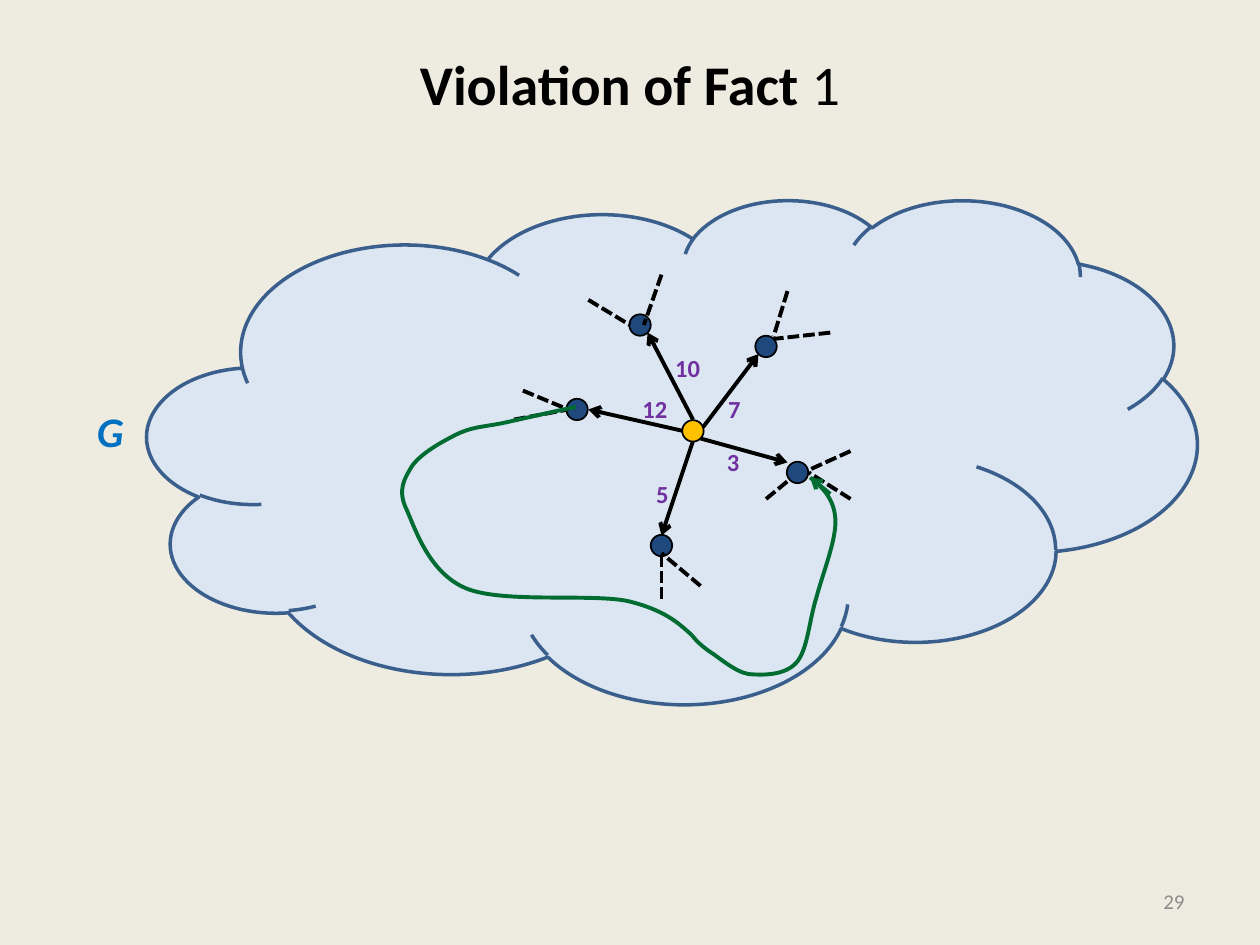
from lxml import etree
from pptx import Presentation
from pptx.dml.color import RGBColor
from pptx.enum.dml import MSO_LINE
from pptx.enum.shapes import MSO_CONNECTOR, MSO_SHAPE
from pptx.enum.text import MSO_ANCHOR, PP_ALIGN
from pptx.oxml.ns import qn
from pptx.util import Inches, Pt

STRAIGHT = MSO_CONNECTOR.STRAIGHT
CLOUD, OVAL = MSO_SHAPE.CLOUD, MSO_SHAPE.OVAL
DASH = MSO_LINE.SQUARE_DOT
MIDDLE = MSO_ANCHOR.MIDDLE
LEFT, CENTER, RIGHT = PP_ALIGN.LEFT, PP_ALIGN.CENTER, PP_ALIGN.RIGHT

FONT = "Calibri"
BLACK = RGBColor(0x00, 0x00, 0x00)
GRAY = RGBColor(0x8C, 0x8C, 0x8C)
CREAM = RGBColor(0xEE, 0xEC, 0xE1)
PALE_BLUE = RGBColor(0xDC, 0xE6, 0xF2)
CLOUD_EDGE = RGBColor(0x3A, 0x5F, 0x8C)
NAVY = RGBColor(0x1F, 0x49, 0x7D)
GOLD = RGBColor(0xFF, 0xC0, 0x00)
PURPLE = RGBColor(0x70, 0x30, 0xA0)
BLUE = RGBColor(0x00, 0x70, 0xC0)
GREEN = RGBColor(0x00, 0x6C, 0x31)

# Content: all lengths in inches
TITLE = [("Violation of Fact ", True), ("1", False)]
PAGE = "29"
GRAPH_NAME = "G"
NODE_SIZE = 0.17
EDGE_WIDTH = 2.25
HUB = (5.5, 3.42)

# Each neighbour: weight, label corner, label width, centre, edge (from, to), stubs (tip, root)
NEIGHBOURS = [
    ("7", (5.68, 3.08), 0.3, (6.08, 2.75), ((5.58, 3.39), (6.02, 2.81)),
     [((6.59, 2.64), (6.14, 2.69)), ((6.25, 2.31), (6.14, 2.67))]),
    ("3", (5.67, 3.5), 0.3, (6.33, 3.75), ((5.56, 3.48), (6.25, 3.67)),
     [((6.75, 3.96), (6.42, 3.75)), ((6.75, 3.58), (6.42, 3.73)),
      ((6.08, 3.96), (6.25, 3.82))]),
    ("5", (5.11, 3.75), 0.3, (5.25, 4.33), ((5.5, 3.5), (5.25, 4.25)),
     [((5.25, 4.75), (5.25, 4.42)), ((5.56, 4.65), (5.25, 4.39))]),
    ("12", (5, 3.08), 0.4, (4.58, 3.25), ((5.42, 3.42), (4.67, 3.25)),
     [((4.08, 3.33), (4.51, 3.25)), ((4.15, 3.1), (4.51, 3.25))]),
    ("10", (5.26, 2.75), 0.4, (5.08, 2.58), ((5.5, 3.33), (5.14, 2.64)),
     [((4.67, 2.38), (5, 2.58)), ((5.25, 2.18), (5.11, 2.58))]),
]

# Detour: a start point, then two control points and an end point per curve
DETOUR = [
    [(4.57, 3.23),
     (4.37, 3.27), (4.17, 3.32), (3.98, 3.36),
     (3.82, 3.39), (3.74, 3.39), (3.62, 3.45),
     (3.5, 3.51), (3.34, 3.6), (3.27, 3.7),
     (3.21, 3.8), (3.15, 3.89), (3.23, 4.05),
     (3.3, 4.21), (3.41, 4.55), (3.7, 4.67),
     (3.99, 4.79), (4.68, 4.71), (4.98, 4.77),
     (5.27, 4.84), (5.38, 4.94), (5.49, 5.04)],
    [(5.49, 5.04),
     (5.52, 5.08), (5.56, 5.12), (5.63, 5.17),
     (5.71, 5.22), (5.83, 5.33), (5.94, 5.35),
     (6.06, 5.36), (6.23, 5.36), (6.32, 5.26),
     (6.41, 5.16), (6.42, 4.93), (6.48, 4.74),
     (6.53, 4.55), (6.64, 4.28), (6.63, 4.12),
     (6.62, 3.96), (6.53, 3.87), (6.43, 3.79)],
]
DETOUR_HEAD = ((6.59, 3.92), (6.43, 3.79))


def add_run(paragraph, text, size, color, bold=False, italic=False):
    run = paragraph.add_run()
    run.text = text
    font = run.font
    font.name, font.size, font.bold, font.italic = FONT, Pt(size), bold, italic
    font.color.rgb = color


def add_label(slide, text, box, size, color, align=LEFT, **style):
    frame = slide.shapes.add_textbox(*map(Inches, box)).text_frame
    frame.word_wrap = align == RIGHT
    paragraph = frame.paragraphs[0]
    paragraph.alignment = align
    add_run(paragraph, text, size, color, **style)
    return frame


def add_line(slide, start, end, color=BLACK, arrow=False, dashed=False):
    line = slide.shapes.add_connector(STRAIGHT, *map(Inches, start + end))
    line.line.color.rgb = color
    line.line.width = Pt(EDGE_WIDTH)
    if dashed:
        line.line.dash_style = DASH
    if arrow:
        outline = line._element.spPr.find(qn("a:ln"))
        etree.SubElement(outline, qn("a:tailEnd"), type="arrow")
    etree.SubElement(line._element.spPr, qn("a:effectLst"))


def add_filled(slide, kind, box, fill, edge, width):
    shape = slide.shapes.add_shape(kind, *map(Inches, box))
    shape.shadow.inherit = False
    shape.fill.solid()
    shape.fill.fore_color.rgb = fill
    shape.line.color.rgb = edge
    shape.line.width = Pt(width)


def add_node(slide, center, fill):
    x, y = center
    box = (x - NODE_SIZE / 2, y - NODE_SIZE / 2, NODE_SIZE, NODE_SIZE)
    add_filled(slide, OVAL, box, fill, BLACK, 1)


def add_curve(slide, points, color):
    start, *rest = [(Inches(x), Inches(y)) for x, y in points]
    builder = slide.shapes.build_freeform(*start)
    builder.add_line_segments(rest, close=False)
    curve = builder.convert_to_shape()
    curve.shadow.inherit = False
    curve.fill.background()
    curve.line.color.rgb = color
    curve.line.width = Pt(EDGE_WIDTH)
    # Join every three segments into one Bezier curve
    outline = next(curve._element.iter(qn("a:path")))
    segments = outline.findall(qn("a:lnTo"))
    for i in range(0, len(segments), 3):
        bezier = etree.SubElement(outline, qn("a:cubicBezTo"))
        for segment in segments[i:i + 3]:
            bezier.append(segment[0])
            outline.remove(segment)


def main():
    deck = Presentation()
    deck.slide_width, deck.slide_height = Inches(10), Inches(7.5)
    slide = deck.slides.add_slide(deck.slide_layouts[5])
    slide.background.fill.solid()
    slide.background.fill.fore_color.rgb = CREAM

    # Title, raised within its box by the bottom margin
    title = slide.shapes.title
    title.left, title.top, title.width, title.height = map(Inches, (0.5, 0.3, 9, 1.25))
    title.text_frame.vertical_anchor = MIDDLE
    title.text_frame.margin_bottom = Inches(0.58)
    heading = title.text_frame.paragraphs[0]
    heading.alignment = CENTER
    for text, bold in TITLE:
        add_run(heading, text, 32, BLACK, bold)

    # Page number
    page = add_label(slide, PAGE, (7.17, 6.95, 2.33, 0.4), 12, GRAY, RIGHT)
    page.vertical_anchor = MIDDLE

    # Graph: cloud, edges, nodes, stubs and weights
    add_filled(slide, CLOUD, (1.17, 1.58, 8.33, 4), PALE_BLUE, CLOUD_EDGE, 2)
    for *_, edge, _ in NEIGHBOURS:
        add_line(slide, *edge, arrow=True)
    add_node(slide, HUB, GOLD)
    for _, _, _, center, _, _ in NEIGHBOURS:
        add_node(slide, center, NAVY)
    for *_, stubs in NEIGHBOURS:
        for tip, root in stubs:
            add_line(slide, tip, root, dashed=True)
    for weight, corner, width, *_ in NEIGHBOURS:
        add_label(slide, weight, (*corner, width, 0.34), 14, PURPLE, bold=True)
    add_label(slide, GRAPH_NAME, (0.67, 3.17, 0.42, 0.5), 24, BLUE, bold=True, italic=True)

    # Detour path
    for points in DETOUR:
        add_curve(slide, points, GREEN)
    add_line(slide, *DETOUR_HEAD, color=GREEN, arrow=True)

    deck.save("out.pptx")


if __name__ == "__main__":
    main()
